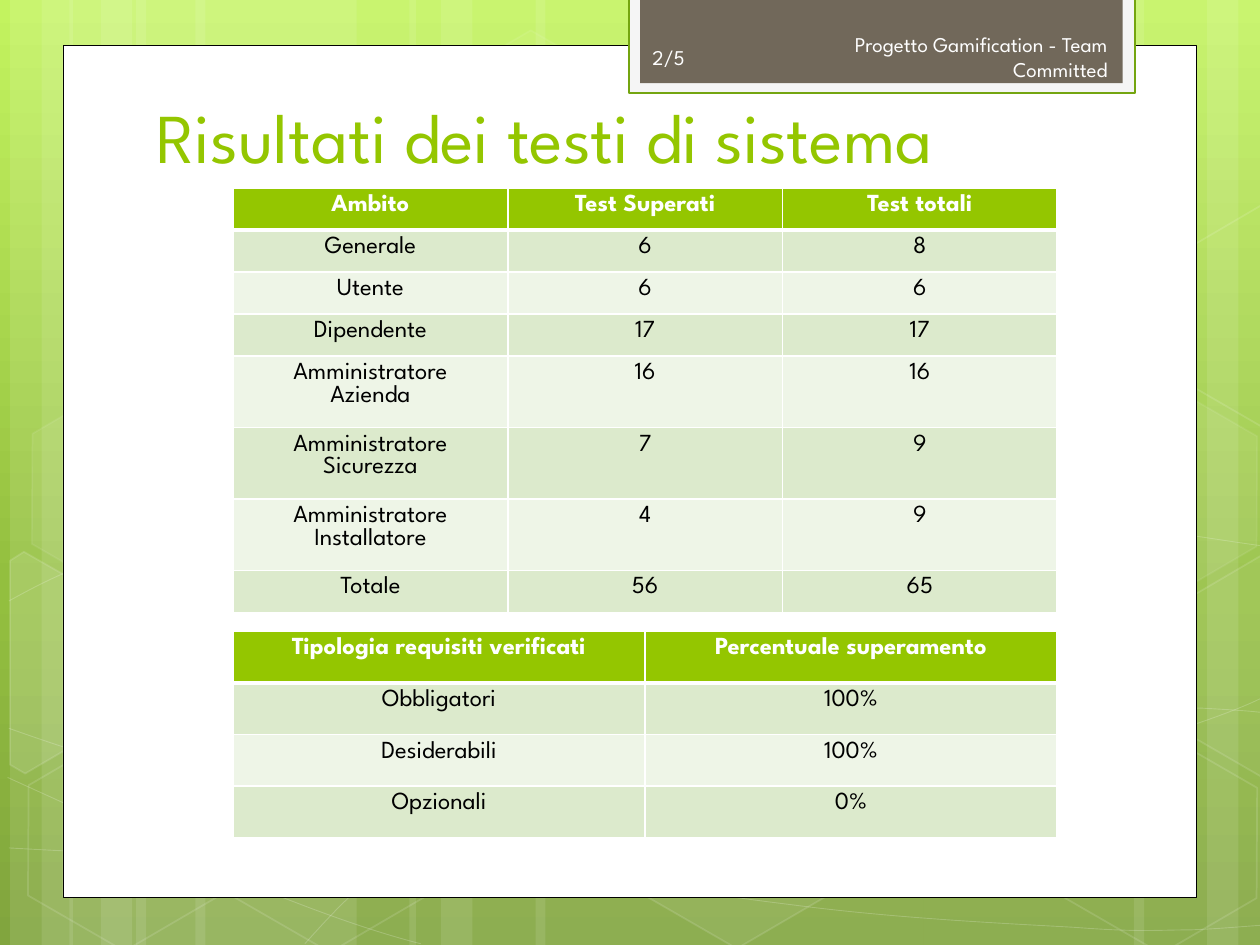
import pptx
import pptx.dml.color
import pptx.enum.shapes
import pptx.enum.text
import pptx.oxml
import pptx.oxml.ns
import pptx.util
from copy import deepcopy

Inches = pptx.util.Inches
Pt = pptx.util.Pt
qn = pptx.oxml.ns.qn
MSO_SHAPE = pptx.enum.shapes.MSO_SHAPE
ALIGN = pptx.enum.text.PP_ALIGN
ANCHOR = pptx.enum.text.MSO_ANCHOR

FONT = "League Spartan"
GREEN, WHITE, BLACK = "94C600", "FFFFFF", "000000"
BANDS = ("DCEACC", "EEF5E7")
SKY = [(0, "C3F35F"), (0.62, "93BF3F"), (1, "81A53E")]

STRIPES = [
    (1.08, 1.75), (0.08, 0.5), (0.33, 0.83), (1.55, 1.75), (0.55, 0.5), (0.8, 0.83),
    (7.33, 1.75), (9.58, 0.5), (9, 0.83), (4.25, 3.08), (3.25, 0.5), (3.5, 0.83),
]
WAVES = [
    [(0.07, 6.73), (0.61, 6.76), (1.15, 6.79), (1.9, 6.78), (2.65, 6.77), (3.58, 6.75),
     (4.58, 6.65), (5.58, 6.55), (7, 6.36), (7.92, 6.17), (8.83, 5.98), (9.77, 5.68),
     (10.07, 5.51)],
    [(0.07, 4.77), (0.36, 4.61), (0.65, 4.46), (1.21, 4.31), (1.78, 4.16), (2.59, 3.94),
     (3.47, 3.87), (4.36, 3.8), (5.44, 3.79), (6.54, 3.87), (7.64, 3.95), (9.47, 4.26),
     (10.07, 4.34)],
    [(0.06, 6.17), (1.27, 6.72), (2.47, 7.27), (3.34, 7.49)],
    [(0.07, 5.78), (0.38, 5.89), (0.7, 6), (1.28, 6.16), (1.86, 6.31), (2.73, 6.56),
     (3.57, 6.73), (4.4, 6.9), (5.45, 7.08), (6.28, 7.18), (7.11, 7.29), (8, 7.33),
     (8.53, 7.36), (9.05, 7.4), (9.19, 7.38), (9.45, 7.38), (9.71, 7.37), (9.89, 7.35),
     (10.07, 7.34)],
    [(2.42, 7.49), (2.6, 7.29), (2.78, 7.09), (3.02, 6.91), (3.26, 6.73), (3.6, 6.53),
     (3.88, 6.39), (4.16, 6.25), (4.33, 6.19), (4.7, 6.09), (5.06, 5.99), (5.73, 5.85),
     (6.08, 5.78), (6.44, 5.71), (6.49, 5.71), (6.8, 5.69), (7.11, 5.66), (7.6, 5.63),
     (7.94, 5.62), (8.29, 5.61), (8.86, 5.62), (8.86, 5.62), (9.08, 5.62), (9.31, 5.62),
     (9.53, 5.62), (9.71, 5.63), (9.88, 5.64), (9.97, 5.65), (10.06, 5.66), (10.03, 5.65),
     (10.06, 5.66)],
]
HEXAGONS = [
    (3.34, 0.36, 4, 8), (4.97, 5.89, 6, 12), (0.11, 5.91, None, 12), (0.14, 3.12, 7, 8),
    (1.74, 5.92, None, 12), (7.53, 4.53, 10, 12), (8.34, 5.93, None, 12), (8.34, 3.14, 7, 8),
]
CUT_HEXAGONS = [
    ([(0.08, 4.45), (0.19, 4.38), (0.96, 4.82), (0.95, 5.7), (0.2, 6.14), (0.08, 6.07)], 10),
    ([(9.26, 4.85), (10.01, 4.41), (10.09, 4.46), (10.09, 6.13), (10.02, 6.17), (9.26, 5.73)], 4),
    ([(9.26, 2.07), (10.01, 1.63), (10.1, 1.68), (10.09, 3.35), (10.02, 3.39), (9.26, 2.95)], None),
]
PANELS = [
    ((0.5, 0.36, 9, 6.76), WHITE, BLACK, 0.5),
    ((4.99, -0.02, 4.02, 0.76), "F5F5F5", "74A510", 1.25),
    ((5.08, -0.02, 3.83, 0.68), "71685A", None, 0),
]
TITLE = "Risultati dei testi di sistema"
HEADER = [
    ("Progetto Gamification - Team Committed", (6.56, 0.25, 2.33, 0.4), ALIGN.RIGHT),
    ("2/5", (5.08, 0.25, 1.46, 0.4), ALIGN.LEFT),
]
SYSTEM_TESTS = [
    ("Ambito", "Test Superati", "Test totali"),
    ("Generale", "6", "8"),
    ("Utente", "6", "6"),
    ("Dipendente", "17", "17"),
    ("Amministratore\nAzienda", "16", "16"),
    ("Amministratore\nSicurezza", "7", "9"),
    ("Amministratore Installatore", "4", "9"),
    ("Totale", "56", "65"),
]
REQUIREMENTS = [
    ("Tipologia requisiti verificati", "Percentuale superamento"),
    ("Obbligatori", "100%"),
    ("Desiderabili", "100%"),
    ("Opzionali", "0%"),
]


def paint(color_format, color):
    color_format.rgb = pptx.dml.color.RGBColor.from_string(color)


def fade(properties, alpha):
    color = next(properties.iter(qn("a:srgbClr")))
    color.append(pptx.oxml.parse_xml(
        f'<a:alpha {pptx.oxml.ns.nsdecls("a")} val="{alpha * 1000}"/>'))


def dress(shape, fill=None, alpha=None, line=None, width=1, line_alpha=None):
    shape.shadow.inherit = False
    if fill:
        shape.fill.solid()
        paint(shape.fill.fore_color, fill)
        if alpha:
            fade(shape.element.spPr, alpha)
    else:
        shape.fill.background()
    if line:
        shape.line.width = Pt(width)
        paint(shape.line.color, line)
        if line_alpha:
            fade(shape.element.spPr.find(qn("a:ln")), line_alpha)
    else:
        shape.line.fill.background()


def write(frame, text, size=14, color=BLACK, bold=False, align=ALIGN.CENTER):
    frame.word_wrap = True
    frame.text = text
    for paragraph in frame.paragraphs:
        paragraph.alignment = align
        for run in paragraph.runs:
            run.font.name, run.font.size, run.font.bold = FONT, Pt(size), bold
            paint(run.font.color, color)


def add_preset(kind, box):
    return slide.shapes.add_shape(kind, *map(Inches, box))


def add_outline(points, close):
    start, *rest = [tuple(map(Inches, point)) for point in points]
    builder = slide.shapes.build_freeform(*start)
    builder.add_line_segments(rest, close=close)
    return builder.convert_to_shape()


def add_curve(controls):
    curve = add_outline(controls, False)
    outline = next(curve.element.iter(qn("a:path")))
    segments = outline.findall(qn("a:lnTo"))
    for i in range(0, len(segments), 3):
        bezier = pptx.oxml.parse_xml(f'<a:cubicBezTo {pptx.oxml.ns.nsdecls("a")}/>')
        for segment in segments[i:i + 3]:
            bezier.append(segment[0])
            outline.remove(segment)
        outline.append(bezier)
    return curve


def border(cell, widths):
    for index, (side, width) in enumerate(zip("LRTB", widths)):
        edge = pptx.oxml.parse_xml(
            f'<a:ln{side} {pptx.oxml.ns.nsdecls("a")} w="{Pt(width)}"><a:solidFill>'
            f'<a:srgbClr val="{WHITE}"/></a:solidFill></a:ln{side}>')
        cell._tc.get_or_add_tcPr().insert(index, edge)


def add_grid(rows, top, height, row_heights, left=1.85, width=6.54):
    box = (left, top, width, height)
    grid = slide.shapes.add_table(len(rows), len(rows[0]), *map(Inches, box)).table
    for column in grid.columns:
        column.width = Inches(width / len(rows[0]))
    for r, (row, row_height) in enumerate(zip(rows, row_heights)):
        grid.rows[r].height = Inches(row_height)
        for c, text in enumerate(row):
            cell = grid.cell(r, c)
            heading = r == 0
            write(cell.text_frame, text, color=WHITE if heading else BLACK, bold=heading)
            cell.fill.solid()
            paint(cell.fill.fore_color, GREEN if heading else BANDS[(r - 1) % 2])
            border(cell, (1, 1, 3 if r == 1 else 1, 3 if heading else 1))
    slide.shapes[-1].height = Inches(height)


deck = pptx.Presentation()
deck.slide_width, deck.slide_height = Inches(10), Inches(7.5)
slide = deck.slides.add_slide(deck.slide_layouts[5])

sky = slide.background.fill
sky.gradient()
sky.gradient_angle = 270
stop_list = next(slide.element.iter(qn("a:gsLst")))
stop_list.insert(1, deepcopy(stop_list[0]))
for stop, (position, color) in zip(sky.gradient_stops, SKY):
    stop.position = position
    paint(stop.color, color)

for left, width in STRIPES:
    dress(add_preset(MSO_SHAPE.RECTANGLE, (left, 0, width, 7.5)), WHITE, 10)
for controls in WAVES:
    dress(add_curve(controls), line=WHITE, width=0.5, line_alpha=20)
for left, top, alpha, line_alpha in HEXAGONS:
    hexagon = add_preset(MSO_SHAPE.HEXAGON, (left, top, 1.75, 1.52))
    hexagon.adjustments[0] = 0.285
    hexagon.rotation = 30
    dress(hexagon, alpha and WHITE, alpha, WHITE, line_alpha=line_alpha)
for points, alpha in CUT_HEXAGONS:
    dress(add_outline(points, True), alpha and WHITE, alpha, WHITE, line_alpha=12)
for box, fill, line, width in PANELS:
    dress(add_preset(MSO_SHAPE.RECTANGLE, box), fill, line=line, width=width)

title = slide.shapes.title
slide.shapes._spTree.append(title.element)
title.left, title.top, title.width, title.height = map(Inches, (1.14, 0.21, 7.68, 1.25))
title.text_frame.vertical_anchor = ANCHOR.BOTTOM
write(title.text_frame, TITLE, size=40, color=GREEN, align=ALIGN.LEFT)

for text, box, align in HEADER:
    label = slide.shapes.add_textbox(*map(Inches, box)).text_frame
    label.vertical_anchor = ANCHOR.MIDDLE
    write(label, text, size=12, color="FEFEFE", align=align)

add_grid(SYSTEM_TESTS, 1.49, 3.37, [0.16 if "Amm" in row[0] else 0 for row in SYSTEM_TESTS])
add_grid(REQUIREMENTS, 5.01, 1.62, [0.41] * len(REQUIREMENTS))

deck.save("out.pptx")
